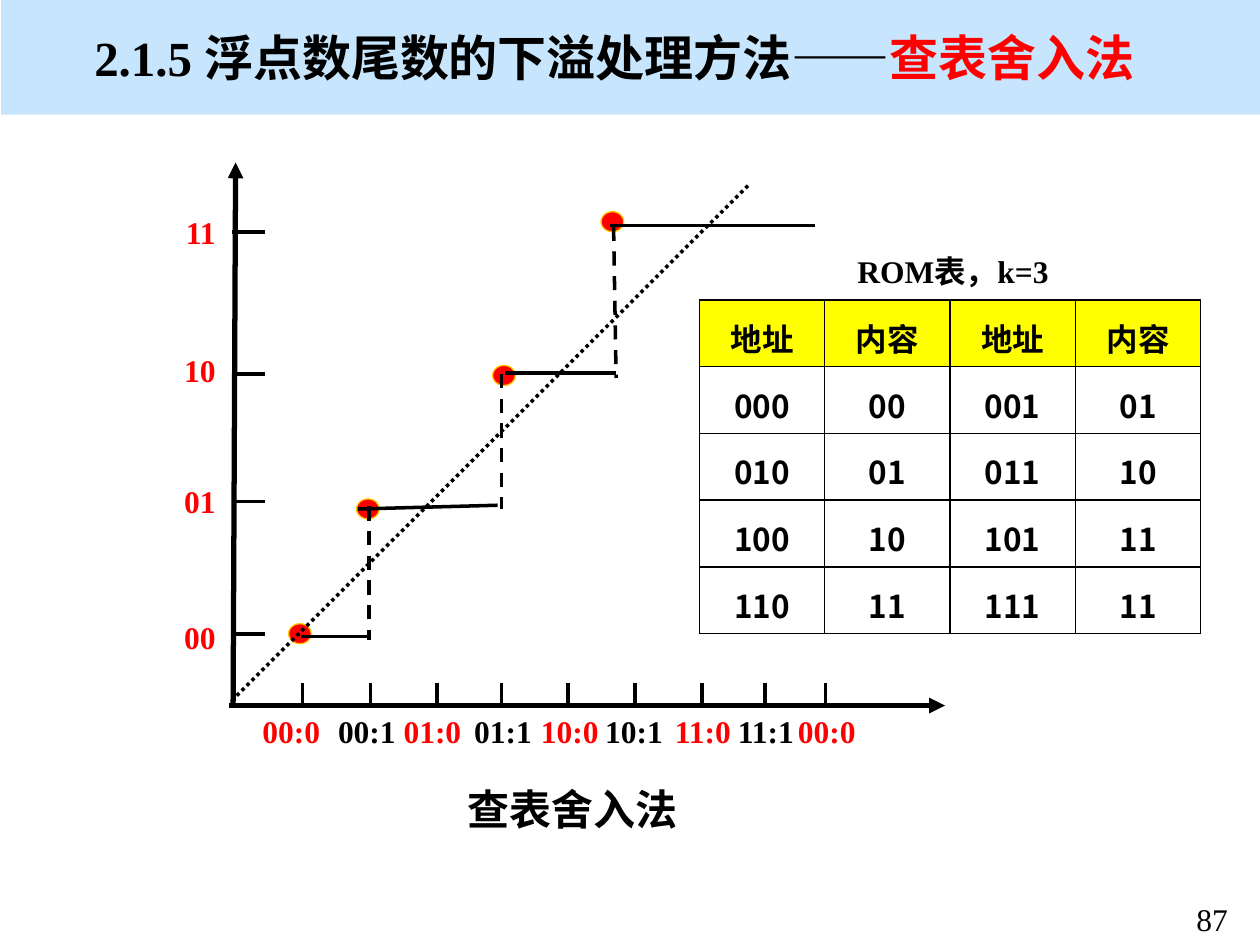
from lxml import etree
from pptx import Presentation
from pptx.dml.color import RGBColor
from pptx.enum.dml import MSO_LINE
from pptx.enum.shapes import MSO_CONNECTOR, MSO_SHAPE
from pptx.enum.text import MSO_ANCHOR, PP_ALIGN
from pptx.oxml.ns import qn
from pptx.util import Inches, Pt

LEFT, CENTER, RIGHT = PP_ALIGN.LEFT, PP_ALIGN.CENTER, PP_ALIGN.RIGHT
TOP, MIDDLE, BOTTOM = MSO_ANCHOR.TOP, MSO_ANCHOR.MIDDLE, MSO_ANCHOR.BOTTOM
DASH, DOT = MSO_LINE.DASH, MSO_LINE.ROUND_DOT
STRAIGHT = MSO_CONNECTOR.STRAIGHT
RECTANGLE, POINT = MSO_SHAPE.RECTANGLE, MSO_SHAPE.FLOWCHART_CONNECTOR

LATIN, CHINESE = "Times New Roman", "Noto Sans CJK SC"
BLACK, RED, YELLOW, ORANGE, PALE_BLUE = "000000", "FF0000", "FFFF00", "FFCC00", "C7E6FD"

X_TICKS = [2.4, 2.94, 3.47, 3.98, 4.51, 5.04, 5.57, 6.07, 6.55]
X_LABELS = [("00:0", 1.98), ("00:1", 2.58), ("01:0", 3.1), ("01:1", 3.66), ("10:0", 4.19),
            ("10:1", 4.7), ("11:0", 5.24), ("11:1", 5.74), ("00:0", 6.23)]
Y_LEVELS = [("00", 5.03, 4.86), ("01", 3.98, 3.78), ("10", 2.97, 2.74), ("11", 1.84, 1.64)]
POINTS = [(2.29, 4.95), (2.83, 3.96), (3.91, 2.9), (4.77, 1.68)]
STEPS = [((2.39, 5.05), (2.92, 5.05)), ((2.84, 4.04), (3.95, 4.01)),
         ((4.01, 2.96), (4.89, 2.96)), ((4.84, 1.79), (6.47, 1.79))]
JUMPS = [((2.93, 4.02), (2.93, 5.08)), ((3.98, 2.97), (3.98, 4.04)),
         ((4.87, 1.8), (4.89, 3))]
ROM_ROWS = [("地址", "内容", "地址", "内容"),
            ("000", "00", "001", "01"),
            ("010", "01", "011", "10"),
            ("100", "10", "101", "11"),
            ("110", "11", "111", "11")]


def color(value):
    return RGBColor.from_string(value)


def add_border(cell):
    """Draw a thin black line on all four sides of a table cell."""
    properties = cell._tc.get_or_add_tcPr()
    for side in ("a:lnL", "a:lnR", "a:lnT", "a:lnB"):
        line = etree.SubElement(properties, qn(side), w=str(Pt(1)))
        fill = etree.SubElement(line, qn("a:solidFill"))
        etree.SubElement(fill, qn("a:srgbClr"), val=BLACK)


class SlideBuilder:
    def __init__(self, slide):
        self.slide = slide

    def style_run(self, run, size, fill=BLACK, bold=True, font=LATIN):
        run.font.size = Pt(size)
        run.font.bold = bold
        run.font.name = font
        run.font.color.rgb = color(fill)
        etree.SubElement(run._r.get_or_add_rPr(), qn("a:ea"), typeface=CHINESE)

    def text(self, box, parts, size=18, align=LEFT, anchor=TOP, wrap=True,
             bold=True, font=LATIN):
        """Add a text box; parts is a list of (wording, colour)."""
        frame = self.slide.shapes.add_textbox(*map(Inches, box)).text_frame
        frame.word_wrap = wrap
        frame.vertical_anchor = anchor
        paragraph = frame.paragraphs[0]
        paragraph.alignment = align
        for wording, fill in parts:
            run = paragraph.add_run()
            run.text = wording
            self.style_run(run, size, fill, bold, font)
        return paragraph

    def label(self, wording, left, top, width, fill=RED):
        self.text((left, top, width, 0.4), [(wording, fill)], align=RIGHT, wrap=False)

    def shape(self, kind, box, fill, outline=None):
        shape = self.slide.shapes.add_shape(kind, *map(Inches, box))
        shape.shadow.inherit = False
        shape.fill.solid()
        shape.fill.fore_color.rgb = color(fill)
        if outline:
            shape.line.color.rgb = color(outline)
            shape.line.width = Pt(0.75)
        else:
            shape.line.fill.background()

    def line(self, start, end, width=2, dash=None, arrow=False):
        connector = self.slide.shapes.add_connector(STRAIGHT, *map(Inches, (*start, *end)))
        connector.line.color.rgb = color(BLACK)
        connector.line.width = Pt(width)
        if dash:
            connector.line.dash_style = dash
        if arrow:
            etree.SubElement(connector.line._get_or_add_ln(), qn("a:tailEnd"), type="triangle")
        etree.SubElement(connector._element.spPr, qn("a:effectLst"))

    def table(self, box, rows):
        frame = self.slide.shapes.add_table(len(rows), len(rows[0]), *map(Inches, box))
        table = frame.table
        table.first_row = table.horz_banding = False
        for row_index, row in enumerate(rows):
            for column_index, wording in enumerate(row):
                cell = table.cell(row_index, column_index)
                add_border(cell)
                if row_index == 0:
                    cell.fill.solid()
                    cell.fill.fore_color.rgb = color(YELLOW)
                else:
                    cell.fill.background()
                cell.vertical_anchor = BOTTOM
                cell.text_frame.text = wording
                paragraph = cell.text_frame.paragraphs[0]
                paragraph.alignment = CENTER
                self.style_run(paragraph.runs[0], 18, font=CHINESE)


def main():
    presentation = Presentation()
    presentation.slide_width, presentation.slide_height = Inches(10), Inches(7.5)
    builder = SlideBuilder(presentation.slides.add_slide(presentation.slide_layouts[6]))

    builder.shape(RECTANGLE, (0.01, 0, 9.99, 0.91), PALE_BLUE)
    title = builder.text((0.65, 0.16, 9.16, 0.67),
                         [("2.1.5 浮点数尾数的下溢处理方法——", BLACK), ("查表舍入法", RED)],
                         size=28, anchor=MIDDLE)
    title.line_spacing = 0.8
    builder.text((9.27, 7.09, 0.7, 0.33), [("87", BLACK)], align=CENTER, bold=False)
    builder.text((3.61, 6.17, 2.08, 0.82), [("查表舍入法", BLACK)], size=24, font=CHINESE)

    builder.line((1.82, 5.6), (7.5, 5.6), width=3, arrow=True)
    builder.line((1.85, 5.6), (1.87, 1.29), width=3, arrow=True)
    for x in X_TICKS:
        builder.line((x, 5.42), (x, 5.61))
    for index, (wording, left) in enumerate(X_LABELS):
        builder.label(wording, left, 5.6, 0.66, BLACK if index % 2 else RED)
    for wording, tick, top in Y_LEVELS:
        builder.line((1.84, tick), (2.1, tick))
        builder.label(wording, 1.36, top, 0.45)

    for left, top in POINTS:
        builder.shape(POINT, (left, top, 0.18, 0.16), RED, ORANGE)
    builder.line((1.84, 5.56), (5.94, 1.47), dash=DOT)
    for start, end in STEPS:
        builder.line(start, end)
    for start, end in JUMPS:
        builder.line(start, end, dash=DASH)

    builder.text((6.14, 1.95, 2.28, 0.4), [("ROM表，k=3", BLACK)], align=RIGHT)
    builder.table((5.55, 2.38, 3.98, 2.65), ROM_ROWS)
    presentation.save("out.pptx")


if __name__ == "__main__":
    main()
